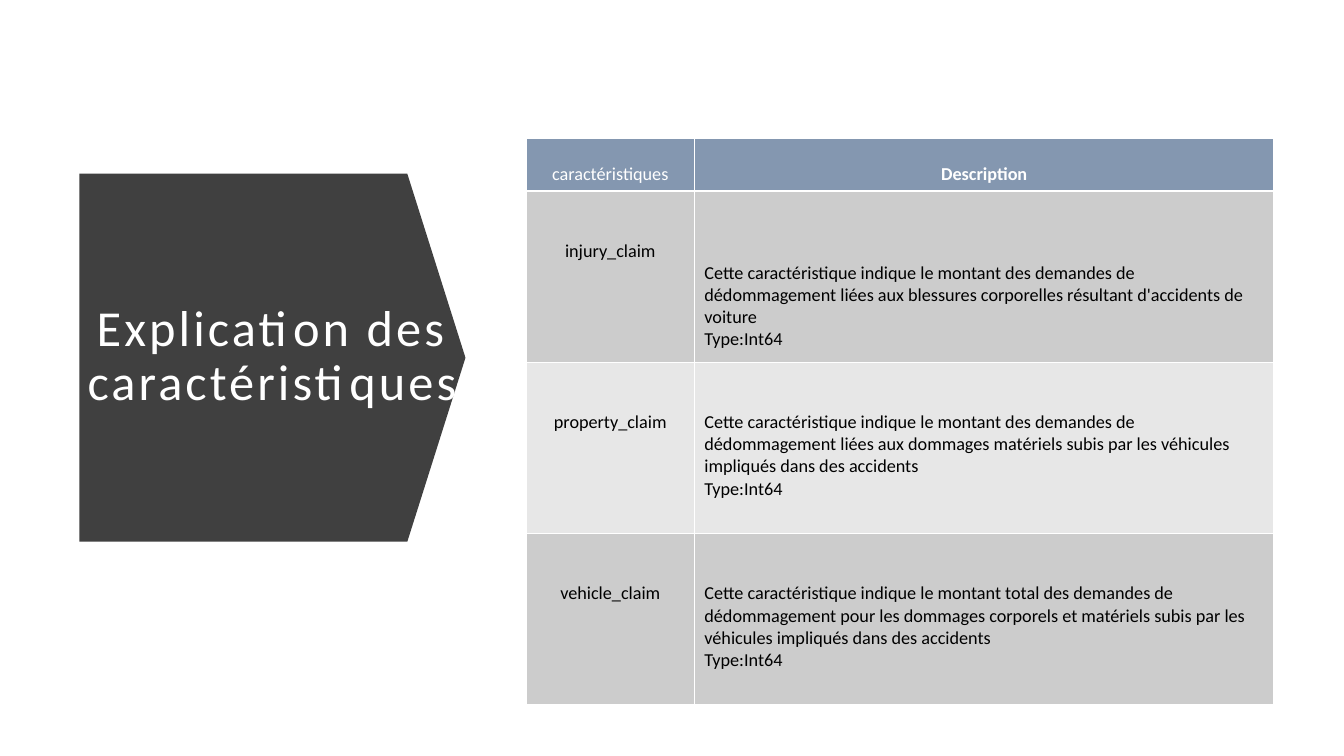
from lxml import etree
from pptx import Presentation
from pptx.dml.color import RGBColor
from pptx.enum import shapes, text
from pptx.oxml.ns import qn
from pptx.util import Pt

FONT = "Calibri"
WHITE, BLACK, DARK, HEADER = "FFFFFF", "000000", "404040", "8497B0"
BANDS = ["CCCCCC", "E7E7E7"]

TITLE = "Explication des caractéristiques"
HEADINGS = ["caractéristiques", "Description"]
# name, description lines, space above the description in lines
FEATURES = [
    ("injury_claim",
     ["Cette caractéristique indique le montant des demandes de dédommagement "
      "liées aux blessures corporelles résultant d'accidents de voiture",
      "Type:Int64"], 3),
    ("property_claim",
     ["Cette caractéristique indique le montant des demandes de dédommagement "
      "liées aux dommages matériels subis par les véhicules impliqués dans des accidents",
      "Type:Int64"], 2),
    ("vehicle_claim",
     ["Cette caractéristique indique le montant total des demandes de dédommagement "
      "pour les dommages corporels et matériels subis par les véhicules impliqués "
      "dans des accidents",
      "Type:Int64"], 2),
]
COL_WIDTHS = [120.2, 414]
HEADER_HEIGHT, ROW_HEIGHT = 37.5, 122.4
PAD, LINE = 3.6, 15.7


def rgb(value):
    return RGBColor.from_string(value)


def add_run(p, words, size, color, bold=False):
    r = p.add_run()
    r.text = words
    r.font.name, r.font.size, r.font.bold = FONT, Pt(size), bold
    r.font.color.rgb = rgb(color)
    return r


def set_borders(cell, color, width):
    props = cell._tc.get_or_add_tcPr()
    for i, side in enumerate(("lnL", "lnR", "lnT", "lnB")):
        ln = etree.Element(qn("a:" + side), w=str(Pt(width)))
        fill = etree.SubElement(ln, qn("a:solidFill"))
        etree.SubElement(fill, qn("a:srgbClr"), val=color)
        props.insert(i, ln)


def fill_cell(cell, lines, fill, color, top, centered, bold=False):
    cell.fill.solid()
    cell.fill.fore_color.rgb = rgb(fill)
    set_borders(cell, WHITE, 1)
    cell.margin_left = cell.margin_right = Pt(7.2)
    cell.margin_top, cell.margin_bottom = Pt(top), Pt(PAD)
    tf = cell.text_frame
    for i, line in enumerate(lines):
        p = tf.add_paragraph() if i else tf.paragraphs[0]
        p.alignment = text.PP_ALIGN.CENTER if centered else text.PP_ALIGN.LEFT
        add_run(p, line, 13, color, bold)


prs = Presentation()
prs.slide_width, prs.slide_height = Pt(960), Pt(540)
s = prs.slides.add_slide(prs.slide_layouts[5])

# Arrow behind the title, turned to point right
arrow = s.shapes.add_shape(shapes.MSO_SHAPE.DOWN_ARROW,
                           Pt(63.2), Pt(117.6), Pt(262.8), Pt(275.8))
arrow.rotation = 270
arrow.adjustments[0], arrow.adjustments[1] = 1, 0.158
arrow.shadow.inherit = False
arrow.fill.solid()
arrow.fill.fore_color.rgb = rgb(DARK)
arrow.line.fill.background()

# Title, brought in front of the arrow
title = s.shapes.title
arrow.element.addnext(title.element)
title.left, title.top, title.width, title.height = Pt(41.8), Pt(154.8), Pt(305.3), Pt(200.9)
tf = title.text_frame
tf.word_wrap = True
tf.auto_size = text.MSO_AUTO_SIZE.NONE
tf.vertical_anchor = text.MSO_ANCHOR.MIDDLE
p = tf.paragraphs[0]
p.alignment = text.PP_ALIGN.CENTER
p.line_spacing, p.space_after = 0.9, Pt(6)
r = add_run(p, TITLE, 36, WHITE)
r.font._element.set("spc", "220")

# Table of features
height = HEADER_HEIGHT + ROW_HEIGHT * len(FEATURES)
table = s.shapes.add_table(len(FEATURES) + 1, len(HEADINGS), Pt(375.8), Pt(98.9),
                           Pt(sum(COL_WIDTHS)), Pt(height)).table
for column, width in zip(table.columns, COL_WIDTHS):
    column.width = Pt(width)
for i, row in enumerate(table.rows):
    row.height = Pt(ROW_HEIGHT if i else HEADER_HEIGHT)

for j, heading in enumerate(HEADINGS):
    fill_cell(table.cell(0, j), [heading], HEADER, WHITE, 18, True, bold=j == 1)
for i, (name, lines, gap) in enumerate(FEATURES):
    band = BANDS[i % 2]
    fill_cell(table.cell(i + 1, 0), [name], band, BLACK, PAD + 2 * LINE, True)
    fill_cell(table.cell(i + 1, 1), lines, band, BLACK, PAD + gap * LINE, False)

prs.save("out.pptx")
